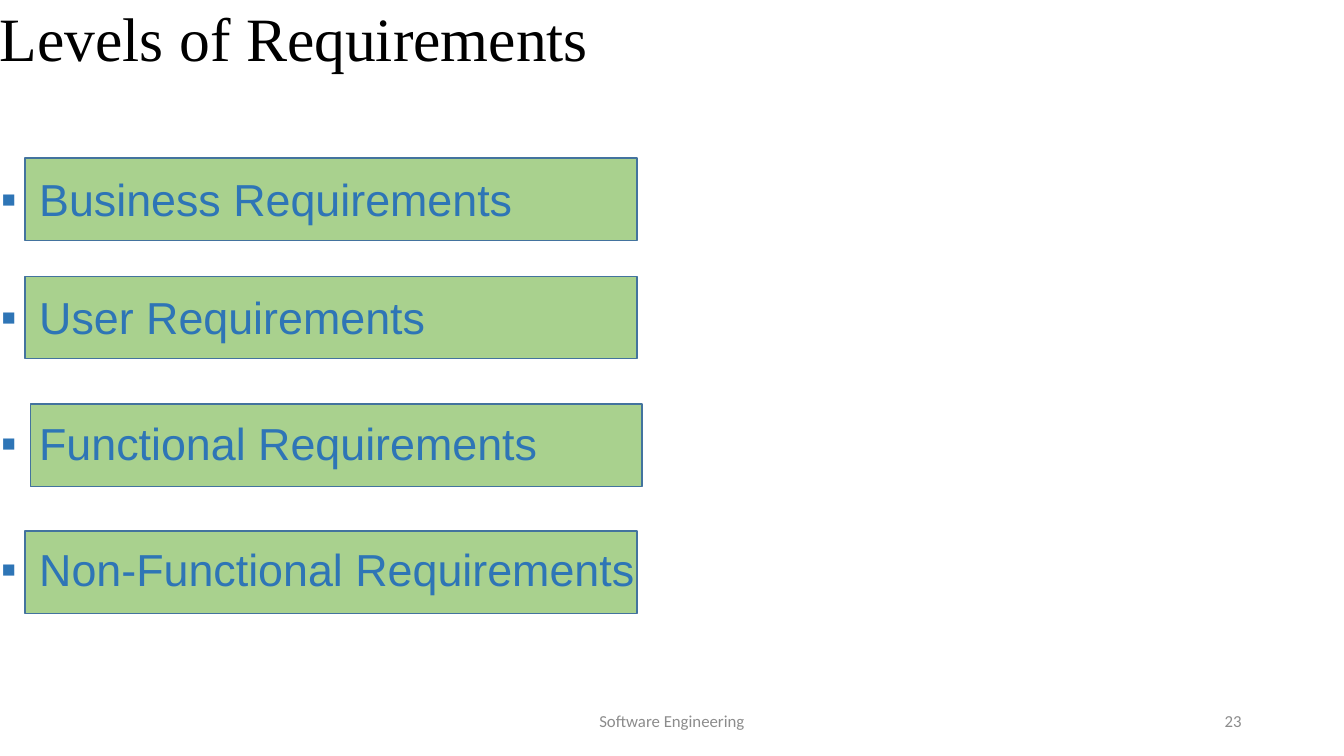
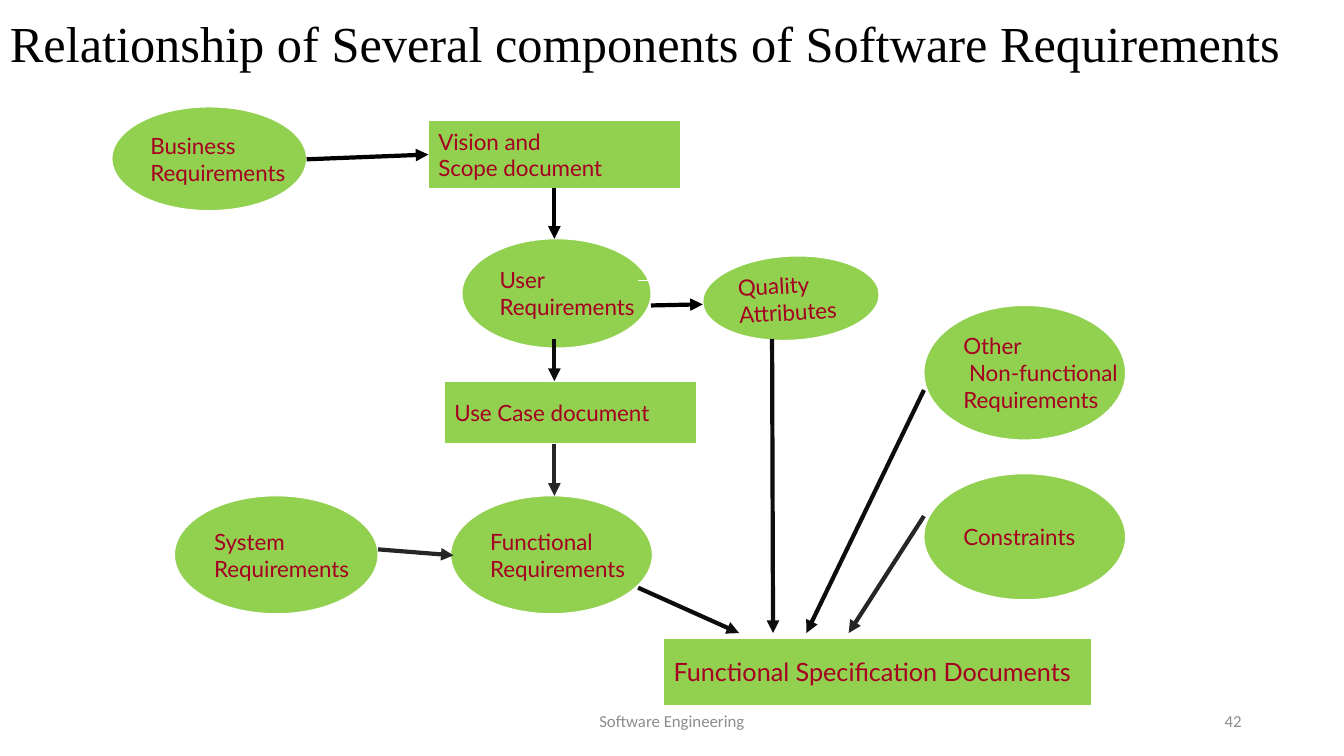
import lxml.etree
import pptx
import pptx.dml.color
import pptx.enum.shapes
import pptx.enum.text
import pptx.oxml.ns
import pptx.util

Pt = pptx.util.Pt
qn = pptx.oxml.ns.qn
KIND = pptx.enum.shapes.MSO_SHAPE
LINK = pptx.enum.shapes.MSO_CONNECTOR
ALIGN = pptx.enum.text.PP_ALIGN
MID = pptx.enum.text.MSO_ANCHOR.MIDDLE

COLORS = {
    "black": "000000", "ink": "0D0D0D", "dark": "262626", "gray": "8C8C8C",
    "white": "FFFFFF", "sage": "A9D18E", "edge": "43739E", "blue": "2E75B6",
    "lime": "92D050", "wine": "A50021",
}

LEVELS = [
    ("Business Requirements", 18, 0, 0),
    ("User Requirements", 18, 84.3, 45),
    ("Functional Requirements", 21.6, 175.7, 51),
    ("Non-Functional Requirements", 18, 266.4, 51),
]

NODES = {
    "business": (KIND.OVAL, (0, 0.4, 139, 74), ["Business", "Requirements"]),
    "vision": (KIND.RECTANGLE, (226, 10.4, 180, 48), ["Vision and", "Scope document"]),
    "user": (KIND.OVAL, (250, 94.6, 135, 78), ["User", "Requirements"]),
    "system": (KIND.OVAL, (44.6, 278.2, 145.4, 84.2), ["System", "Requirements"]),
    "function": (KIND.OVAL, (242, 278.2, 144, 84.2), ["Functional", "Requirements"]),
    "other": (KIND.OVAL, (580, 142.2, 144, 96),
              ["Other", " Non-functional", "Requirements"]),
    "limits": (KIND.OVAL, (580, 262.4, 144, 90), ["Constraints"]),
    "quality": (KIND.OVAL, (422, 107, 126, 60), ["Quality", "Attributes"]),
    "output": (KIND.RECTANGLE, (394, 379.8, 306, 48),
               ["Functional Specification Documents"]),
    "case": (KIND.RECTANGLE, (237.5, 196.2, 180, 44.6), ["Use Case document"]),
}

ARROWS = [
    ((190, 316.4), (244, 320.7), "dark", 3),
    ((316, 240.8), (316, 278.2), "dark", 3),
    ((375.8, 343.8), (448, 376.2), "ink", 3),
    ((471.5, 166), (472.2, 376.2), "ink", 3),
    ((580, 202.6), (496, 376.2), "ink", 3),
    ((580, 292.6), (526.2, 376.2), "dark", 3),
    ((316, 166), (316, 196.2), "ink", 3),
    ((375.8, 124.2), (411.8, 124.2), "white", 0.75),
    ((385, 142.2), (422, 141.4), "black", 3),
]


def color(name):
    """Return a named colour."""
    return pptx.dml.color.RGBColor.from_string(COLORS[name])


def write(frame, lines, font, size, tint, align=ALIGN.LEFT):
    """Fill a text frame with one paragraph per line and return them."""
    paras = []
    for i, line in enumerate(lines):
        para = frame.add_paragraph() if i else frame.paragraphs[0]
        para.alignment = align
        run = para.add_run()
        run.text = line
        run.font.name = font
        run.font.size = Pt(size)
        run.font.color.rgb = color(tint)
        paras.append(para)
    return paras


def label(slide, box, lines, font, size, tint, align=ALIGN.LEFT, inset=None):
    """Add a wrapped text box and return its frame."""
    frame = slide.shapes.add_textbox(*map(Pt, box)).text_frame
    frame.word_wrap = True
    if inset is not None:
        frame.margin_left = frame.margin_right = Pt(inset)
        frame.margin_top = frame.margin_bottom = Pt(inset)
    write(frame, lines, font, size, tint, align)
    return frame


def shape(slide, kind, box, fill, edge, width):
    """Add a flat outlined shape."""
    item = slide.shapes.add_shape(kind, *map(Pt, box))
    item.shadow.inherit = False
    item.fill.solid()
    item.fill.fore_color.rgb = color(fill)
    item.line.color.rgb = color(edge)
    item.line.width = Pt(width)
    return item


def arrow(slide, start, end, tint, width):
    """Add a straight arrow."""
    item = slide.shapes.add_connector(LINK.STRAIGHT, *map(Pt, start + end))
    item.line.color.rgb = color(tint)
    item.line.width = Pt(width)
    props = item.element.spPr
    lxml.etree.SubElement(props.find(qn("a:ln")), qn("a:tailEnd"), type="triangle")
    lxml.etree.SubElement(props, qn("a:effectLst"))
    return item


def title(slide, box, text, size, inset=None, space=1.0):
    """Add the slide title."""
    frame = label(slide, box, [text], "Times New Roman", size, "black", inset=inset)
    frame.vertical_anchor = MID
    frame.paragraphs[0].line_spacing = space


def footer(slide, number):
    """Add the course name and the page number."""
    for left, width, text, align in (
        (318, 324, "Software Engineering", ALIGN.CENTER),
        (678, 216, number, ALIGN.RIGHT),
    ):
        frame = label(slide, (left, 500.5, width, 28.8), [text],
                      "Calibri", 12, "gray", align)
        frame.vertical_anchor = MID


def levels(slide, x, y):
    """Draw the bulleted levels over their bars."""
    for _, left, top, _ in LEVELS:
        shape(slide, KIND.RECTANGLE, (x + left, y + top, 437, 59), "sage", "edge", 1)
    frame = label(slide, (x, y + 9.4, 557, 307), [row[0] for row in LEVELS],
                  "Arial", 32, "blue", inset=0)
    for para, (_, _, _, gap) in zip(frame.paragraphs, LEVELS):
        para.line_spacing = Pt(39)
        para.space_before = Pt(gap)
        props = para._p.get_or_add_pPr()
        props.set("marL", str(Pt(28)))
        props.set("indent", str(Pt(-27.4)))
        lxml.etree.SubElement(props, qn("a:buFont"), typeface="Arial")
        lxml.etree.SubElement(props, qn("a:buChar"), char="▪")


def flow(slide, x, y):
    """Draw the documents, the requirements and the arrows between them."""
    items = {}
    for name, (kind, (left, top, width, height), lines) in NODES.items():
        item = shape(slide, kind, (x + left, y + top, width, height),
                     "lime", "white", 0.75)
        frame = item.text_frame
        frame.word_wrap = False
        frame.vertical_anchor = MID
        write(frame, lines, "Lato", 18 if name == "output" else 16, "wine")
        items[name] = item
    items["quality"].rotation = 357.1

    def join(start, end, tint, width):
        """Add an arrow between two points of the diagram."""
        return arrow(slide, (x + start[0], y + start[1]),
                     (x + end[0], y + end[1]), tint, width)

    for row in ARROWS:
        join(*row)
    join((139, 37.8), (226, 34.4), "black", 3).end_connect(items["vision"], 1)
    join((316, 58.4), (316, 94.6), "black", 3).begin_connect(items["vision"], 2)


def main():
    """Build and save the deck."""
    deck = pptx.Presentation()
    deck.slide_width, deck.slide_height = Pt(960), Pt(540)
    blank = deck.slide_layouts[6]

    slide = deck.slides.add_slide(blank)
    levels(slide, 0, 113)
    title(slide, (0, 0, 828, 53.3), "Levels of Requirements", 44, inset=0)
    footer(slide, "23")

    slide = deck.slides.add_slide(blank)
    flow(slide, 80, 76)
    title(slide, (0, 0, 954, 66),
          "Relationship of Several components of Software Requirements", 36, space=0.9)
    footer(slide, "42")

    deck.save("out.pptx")


if __name__ == "__main__":
    main()
